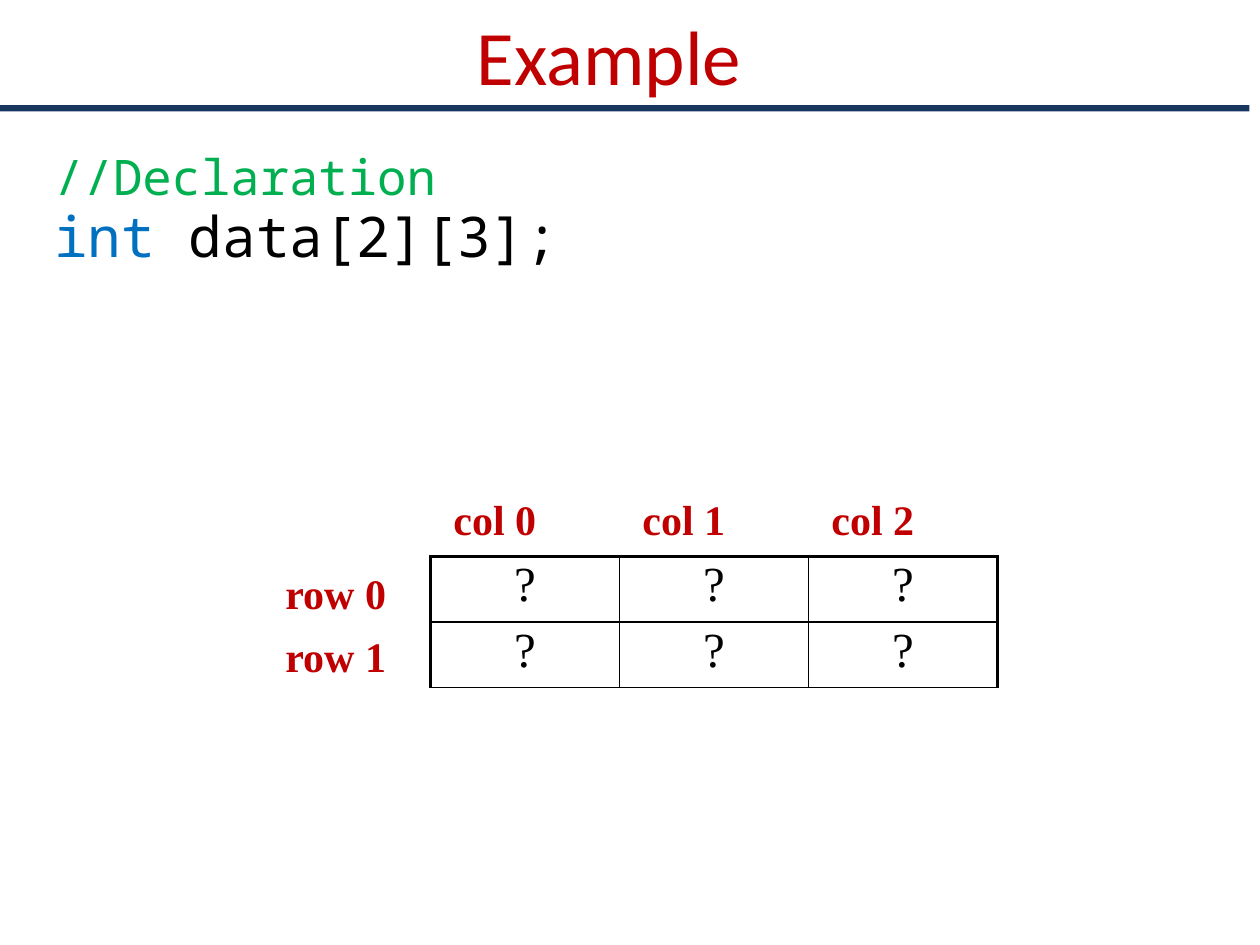
from lxml import etree
from pptx import Presentation
from pptx.dml.color import RGBColor
from pptx.enum import shapes, text
from pptx.oxml.ns import qn
from pptx.util import Pt

THEME = dict(
    red="C00000", green="00B050", blue="0070C0", black="000000", navy="17375E",
    head="Calibri", code="Noto Sans Mono", serif="Times New Roman",
    title=44, note=28, source=32, label=24, value=28, thick=2.25, thin=1,
)
T = THEME

TITLE = "Example"
CODE = [
    (T["note"], [("//Declaration", T["green"])]),
    (T["source"], [("int ", T["blue"]), ("data[2][3];", T["black"])]),
]
ROWS = ["row 0", "row 1"]
COLS = ["col 0", "col 1", "col 2"]
VALUES = [["?"] * len(COLS) for _ in ROWS]

GRID_X, GRID_Y, CELL_W, CELL_H = 246, 318, 108, 37.5
LABEL_W, LABEL_H = 84, 33
ROW_X, ROW_Y, ROW_STEP = 156, 324, 36
COL_X, COL_Y = 252, 282


def write(par, runs, size, font, bold=False, align=None, line=None, before=0):
    """Fill a paragraph with (words, colour) runs."""
    par.alignment = align
    par.space_before = Pt(before)
    if line:
        par.line_spacing = line
    for words, color in runs:
        run = par.add_run()
        run.text = words
        run.font.size, run.font.name, run.font.bold = Pt(size), font, bold
        run.font.color.rgb = RGBColor.from_string(color)


def add_box(slide, *place):
    frame = slide.shapes.add_textbox(*map(Pt, place)).text_frame
    frame.word_wrap = True
    return frame


def add_label(slide, words, x, y):
    frame = add_box(slide, x, y, LABEL_W, LABEL_H)
    write(frame.paragraphs[0], [(words, T["red"])], T["label"], T["serif"],
          bold=True, line=0.9, before=0.2 * T["label"])


def set_edges(cell, widths):
    """Draw the borders, with widths in the order left, right, top, bottom."""
    props = cell._tc.get_or_add_tcPr()
    for i, (side, width) in enumerate(zip("LRTB", widths)):
        edge = etree.Element(qn(f"a:ln{side}"), w=str(int(Pt(width))))
        fill = etree.SubElement(edge, qn("a:solidFill"))
        etree.SubElement(fill, qn("a:srgbClr"), val=T["black"])
        props.insert(i, edge)


def add_title(slide):
    title = slide.shapes.title
    title.left, title.top, title.width, title.height = map(Pt, (24, 0, 648, 62.5))
    title.text_frame.vertical_anchor = text.MSO_ANCHOR.MIDDLE
    write(title.text_frame.paragraphs[0], [(TITLE, T["red"])], T["title"],
          T["head"], align=text.PP_ALIGN.CENTER)


def add_code(slide):
    frame = add_box(slide, 24, 84, 648, 96)
    for i, (size, runs) in enumerate(CODE):
        par = frame.add_paragraph() if i else frame.paragraphs[0]
        write(par, runs, size, T["code"], line=0.9, before=0.05 * size)


def add_grid(slide):
    count, span = len(ROWS), len(COLS)
    table = slide.shapes.add_table(
        count, span, Pt(GRID_X), Pt(GRID_Y),
        Pt(CELL_W * span), Pt(CELL_H * count)).table
    table.first_row = table.horz_banding = False
    for row in table.rows:
        row.height = Pt(CELL_H)
    for r, row in enumerate(VALUES):
        for c, value in enumerate(row):
            cell = table.cell(r, c)
            cell.fill.background()
            write(cell.text_frame.paragraphs[0], [(value, T["black"])],
                  T["value"], T["serif"], align=text.PP_ALIGN.CENTER, line=0.9)
            outer = (c == 0, c == span - 1, r == 0, False)
            set_edges(cell, [T["thick"] if o else T["thin"] for o in outer])


def add_rule(slide):
    rule = slide.shapes.add_shape(
        shapes.MSO_SHAPE.RECTANGLE, *map(Pt, (0, 60, 714, 3.6)))
    rule.shadow.inherit = False
    rule.fill.solid()
    rule.fill.fore_color.rgb = RGBColor.from_string(T["navy"])
    rule.line.fill.background()


def main():
    deck = Presentation()
    deck.slide_width, deck.slide_height = Pt(720), Pt(540)
    slide = deck.slides.add_slide(deck.slide_layouts[5])
    add_title(slide)
    add_code(slide)
    add_grid(slide)
    for i, name in enumerate(ROWS):
        add_label(slide, name, ROW_X, ROW_Y + i * ROW_STEP)
    for i, name in enumerate(COLS):
        add_label(slide, name, COL_X + i * CELL_W, COL_Y)
    add_rule(slide)
    deck.save("out.pptx")


if __name__ == "__main__":
    main()
